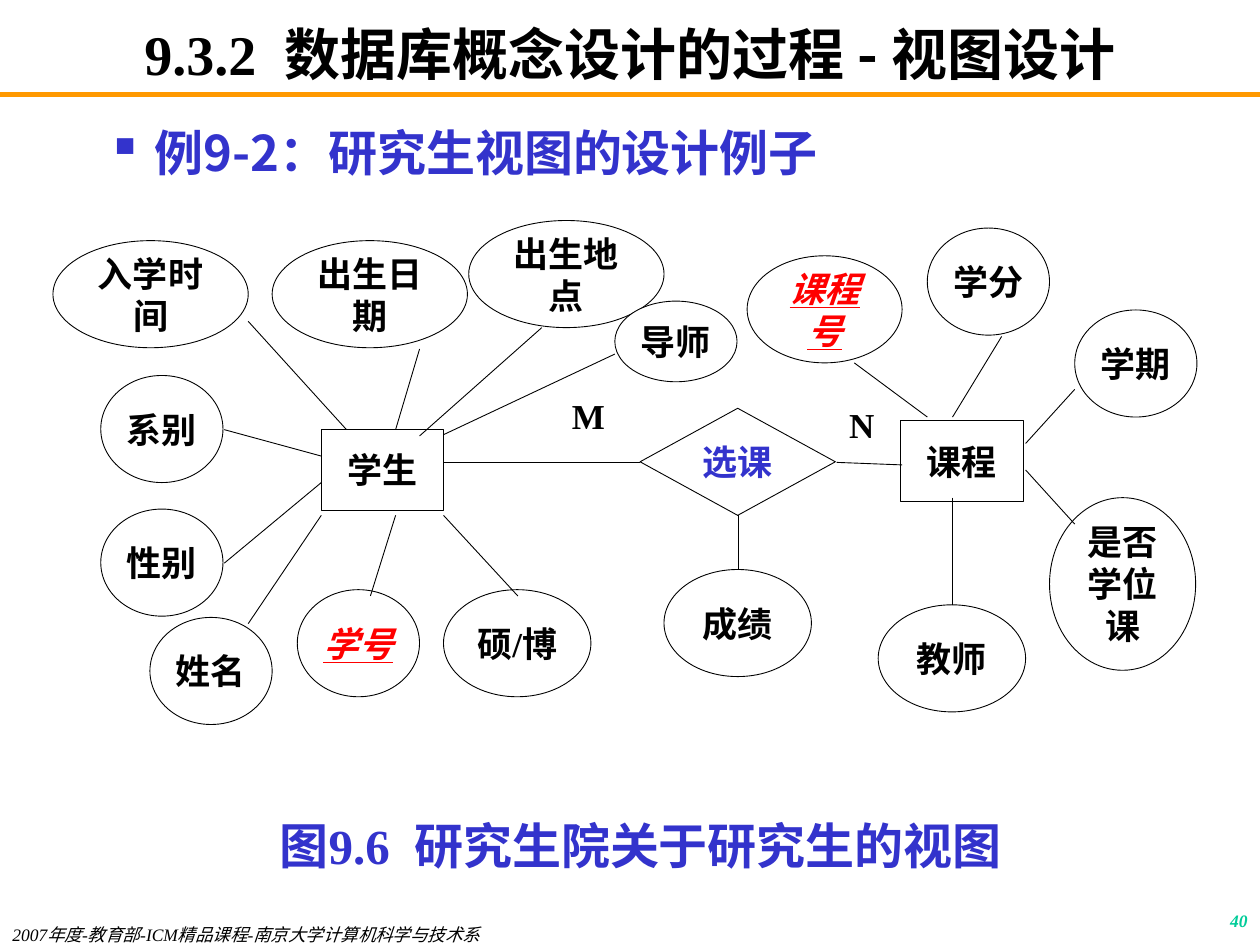
from typing import NamedTuple

from lxml.etree import SubElement
from pptx import Presentation
from pptx.dml.color import RGBColor
from pptx.enum.shapes import MSO_CONNECTOR, MSO_SHAPE as SHAPE
from pptx.enum.text import MSO_ANCHOR as ANCHOR, PP_ALIGN as ALIGN
from pptx.oxml.ns import qn
from pptx.util import Inches, Pt

COLORS = {"ink": "000000", "paper": "FFFFFF", "blue": "3333CC",
          "red": "FF0000", "orange": "FF9900", "green": "00CC99"}
SERIF, SANS = "Times New Roman", "Noto Sans CJK SC"


class Node(NamedTuple):
    text: str
    x: float
    y: float
    w: float = 0.97
    h: float = 0.85
    kind: SHAPE = SHAPE.OVAL
    color: str = "ink"
    key: bool = False


class Edge(NamedTuple):
    x1: float
    y1: float
    x2: float
    y2: float


NODES = [
    Node("课程", 7.15, 3.34, h=0.64, kind=SHAPE.RECTANGLE),
    Node("学生", 2.55, 3.41, h=0.64, kind=SHAPE.RECTANGLE),
    Node("选课", 5.08, 3.24, 1.55, kind=SHAPE.DIAMOND, color="blue"),
    Node("教师", 6.97, 4.8, 1.17),
    Node("是否学位课", 8.33, 3.95, 1.16, 1.37),
    Node("学期", 8.53, 2.46),
    Node("成绩", 5.27, 4.52, 1.17),
    Node("课程号", 5.93, 2.03, 1.23, color="red", key=True),
    Node("学分", 7.36, 1.81),
    Node("学号", 2.36, 4.68, color="red", key=True),
    Node("硕/博", 3.52, 4.68, 1.17),
    Node("出生地点", 3.72, 1.75, 1.55),
    Node("系别", 0.8, 2.98),
    Node("入学时间", 0.42, 1.91, 1.55),
    Node("出生日期", 2.16, 1.91, 1.55),
    Node("姓名", 1.19, 4.9),
    Node("性别", 0.8, 4.04),
    Node("导师", 4.88, 2.39, h=0.64),
]

EDGES = [
    Edge(7.56, 3.95, 7.56, 4.8), Edge(6.64, 3.67, 7.16, 3.69),
    Edge(3.52, 3.67, 5.08, 3.67), Edge(8.14, 3.52, 8.53, 3.09),
    Edge(8.14, 3.73, 8.53, 4.16), Edge(7.56, 3.31, 7.95, 2.67),
    Edge(7.36, 3.31, 6.78, 2.88), Edge(5.86, 4.09, 5.86, 4.52),
    Edge(3.52, 4.09, 4.11, 4.73), Edge(3.14, 3.41, 3.33, 2.77),
    Edge(2.75, 3.41, 1.97, 2.55), Edge(2.55, 3.62, 1.78, 3.41),
    Edge(1.78, 4.47, 2.55, 3.83), Edge(2.55, 4.09, 1.97, 4.95),
    Edge(3.14, 4.09, 2.94, 4.73), Edge(3.52, 3.45, 4.88, 2.81),
    Edge(4.3, 2.6, 3.33, 3.46),
]


def rgb(name: str) -> RGBColor:
    """Look up a named colour."""
    return RGBColor.from_string(COLORS[name])


def write(sp, *parts: str, fonts=(SERIF,), size=20, color="ink", bold=True,
          italic=False, underline=False, align=ALIGN.CENTER,
          anchor=ANCHOR.MIDDLE, inset=(0.06, 0.01)):
    """Fill a shape with one paragraph, one run per part, and return it."""
    tf = sp.text_frame
    tf.word_wrap = True
    tf.vertical_anchor = anchor
    tf.margin_left = tf.margin_right = Inches(inset[0])
    tf.margin_top = tf.margin_bottom = Inches(inset[1])
    p = tf.paragraphs[0]
    p.alignment = align
    for text, font in zip(parts, fonts):
        r = p.add_run()
        r.text = text
        f = r.font
        f.name, f.size, f.bold, f.italic = font, Pt(size), bold, italic
        f.underline = underline
        f.color.rgb = rgb(color)
        SubElement(r._r.get_or_add_rPr(), qn("a:ea"), typeface=SANS)
    return p


def add_box(s, x: float, y: float, w: float, h: float):
    """Add an empty text box."""
    return s.shapes.add_textbox(Inches(x), Inches(y), Inches(w), Inches(h))


def add_edge(s, e: Edge, color="ink", width=0.5) -> None:
    """Draw a straight line."""
    c = s.shapes.add_connector(MSO_CONNECTOR.STRAIGHT, *map(Inches, e))
    c.line.color.rgb = rgb(color)
    c.line.width = Pt(width)
    SubElement(c._element.spPr, qn("a:effectLst"))


def add_node(s, n: Node) -> None:
    """Draw an entity, relationship or attribute with its label."""
    sp = s.shapes.add_shape(n.kind, Inches(n.x), Inches(n.y), Inches(n.w), Inches(n.h))
    sp.shadow.inherit = False
    sp.fill.solid()
    sp.fill.fore_color.rgb = rgb("paper")
    sp.line.color.rgb = rgb("ink")
    sp.line.width = Pt(0.5)
    write(sp, n.text, color=n.color, italic=n.key, underline=n.key)


def add_bullet(p, char: str, color: str, indent: float) -> None:
    """Give a paragraph a coloured bullet and a hanging indent."""
    pPr = p._p.get_or_add_pPr()
    pPr.set("marL", str(Inches(indent)))
    pPr.set("indent", str(-Inches(indent)))
    clr = SubElement(pPr, qn("a:buClr"))
    SubElement(clr, qn("a:srgbClr"), val=COLORS[color])
    SubElement(pPr, qn("a:buChar"), char=char)


def main() -> None:
    """Build the slide."""
    prs = Presentation()
    prs.slide_width, prs.slide_height = Inches(10), Inches(7.5)
    s = prs.slides.add_slide(prs.slide_layouts[6])

    add_edge(s, Edge(0, 0.75, 10, 0.75), "orange", 3)
    write(add_box(s, 7.92, 7.17, 2.08, 0.33), "40", size=10, color="green",
          italic=True, align=ALIGN.RIGHT, anchor=ANCHOR.TOP, inset=(0.1, 0.05))
    write(add_box(s, 0, 7.33, 5.5, 0.17),
          "2007年度-教育部-ICM精品课程-南京大学计算机科学与技术系", size=10,
          bold=False, italic=True, align=ALIGN.LEFT, anchor=ANCHOR.TOP, inset=(0.1, 0))
    write(add_box(s, 0.75, 0.17, 8.5, 0.5), "9.3.2  ", "数据库概念设计的过程 - 视图设计",
          fonts=(SERIF, SANS), size=32, inset=(0.1, 0))
    write(add_box(s, 1.17, 6.42, 7.83, 0.57), "图9.6  ", "研究生院关于研究生的视图",
          fonts=(SERIF, SANS), size=28, color="blue", anchor=ANCHOR.TOP, inset=(0.1, 0.05))

    for n in NODES:
        add_node(s, n)
    for e in EDGES:
        add_edge(s, e)
    write(add_box(s, 4.28, 2.98, 0.78, 0.64), "M", inset=(0.06, 0.05))
    write(add_box(s, 6.55, 3.05, 0.58, 0.64), "N")

    p = write(add_box(s, 0.75, 0.92, 8.5, 0.5), "例9-2：研究生视图的设计例子",
              fonts=(SANS,), size=28, color="blue", align=ALIGN.LEFT,
              anchor=ANCHOR.TOP, inset=(0.1, 0.05))
    add_bullet(p, "▪", "blue", 0.38)
    prs.save("out.pptx")


if __name__ == "__main__":
    main()
